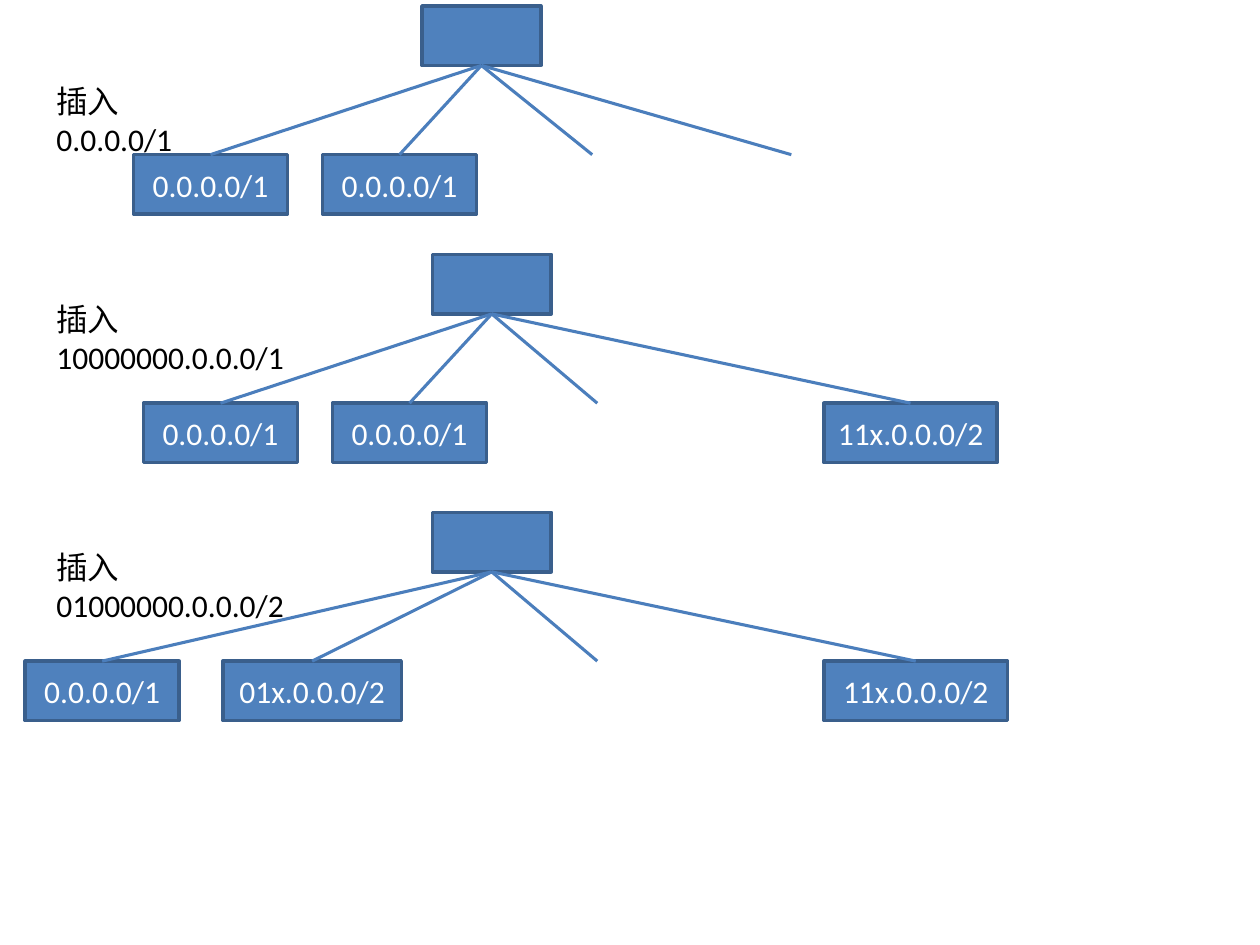
"""Build a slide showing three prefix insertions into a four-way tree."""
from dataclasses import dataclass

from lxml import etree
from pptx import Presentation
from pptx import util as u
from pptx.dml.color import RGBColor
from pptx.enum import shapes, text
from pptx.oxml.ns import qn

COLORS = {"box": "4F81BD", "border": "3A5F8C", "link": "4B7EBC",
          "box_text": "FFFFFF", "label": "000000"}
FONT, SIZE = "Calibri", 18
ROOT_W, BOX_H, DROP = 68, 34, 85


@dataclass
class Child:
    left: float
    width: float = 0
    prefix: str = ""


@dataclass
class Tree:
    root_left: float
    top: float
    children: list[Child]
    inserted: str
    label_top: float
    label_width: float


TREES = [
    Tree(241.1, 3.4,
         [Child(76.3, 88, "0.0.0.0/1"), Child(184.3, 88, "0.0.0.0/1"),
          Child(338.4), Child(452.2)],
         "0.0.0.0/1", 43.2, 117.4),
    Tree(247, 145.4,
         [Child(82, 88, "0.0.0.0/1"), Child(190, 88, "0.0.0.0/1"),
          Child(341.3), Child(470.8, 99, "11x.0.0.0/2")],
         "10000000.0.0.0/1", 167.8, 182.2),
    Tree(247, 292.8,
         [Child(14.4, 88, "0.0.0.0/1"), Child(127.4, 102, "01x.0.0.0/2"),
          Child(341.3), Child(470.8, 105, "11x.0.0.0/2")],
         "01000000.0.0.0/2", 309.6, 182.2),
]


def rgb(name: str) -> RGBColor:
    return RGBColor.from_string(COLORS[name])


def style_font(p, color: str) -> None:
    p.font.name, p.font.size = FONT, u.Pt(SIZE)
    p.font.color.rgb = rgb(color)


def add_box(s, left: float, top: float, width: float, prefix: str = ""):
    sp = s.shapes.add_shape(shapes.MSO_SHAPE.RECTANGLE, u.Pt(left), u.Pt(top),
                            u.Pt(width), u.Pt(BOX_H))
    sp.shadow.inherit = False
    sp.fill.solid()
    sp.fill.fore_color.rgb = rgb("box")
    sp.line.color.rgb = rgb("border")
    sp.line.width = u.Pt(2)
    if prefix:
        tf = sp.text_frame
        tf.vertical_anchor = text.MSO_ANCHOR.MIDDLE
        p = tf.paragraphs[0]
        p.text = prefix
        p.alignment = text.PP_ALIGN.CENTER
        style_font(p, "box_text")
    return sp


def add_link(s, root, child: Child, top: float, box=None) -> None:
    line = s.shapes.add_connector(
        shapes.MSO_CONNECTOR.STRAIGHT, root.left + root.width // 2,
        root.top + root.height, u.Pt(child.left + child.width / 2), u.Pt(top))
    line.begin_connect(root, 2)
    if box is not None:
        line.end_connect(box, 0)
    line.line.color.rgb = rgb("link")
    line.line.width = u.Pt(1.75)
    etree.SubElement(line._element.spPr, qn("a:effectLst"))


def add_label(s, tree: Tree) -> None:
    sp = s.shapes.add_textbox(u.Pt(25.2), u.Pt(tree.label_top),
                              u.Pt(tree.label_width), u.Pt(29))
    tf = sp.text_frame
    tf.word_wrap = True
    tf.auto_size = text.MSO_AUTO_SIZE.SHAPE_TO_FIT_TEXT
    p = tf.paragraphs[0]
    p.text = f"插入\v{tree.inserted}"
    style_font(p, "label")


def add_tree(s, tree: Tree) -> None:
    root = add_box(s, tree.root_left, tree.top, ROOT_W)
    top = tree.top + DROP
    for child in tree.children:
        box = add_box(s, child.left, top, child.width, child.prefix) if child.prefix else None
        add_link(s, root, child, top, box)
    add_label(s, tree)


prs = Presentation()
prs.slide_width, prs.slide_height = u.Pt(720), u.Pt(540)
slide = prs.slides.add_slide(prs.slide_layouts[6])
for tree in TREES:
    add_tree(slide, tree)
prs.save("out.pptx")
